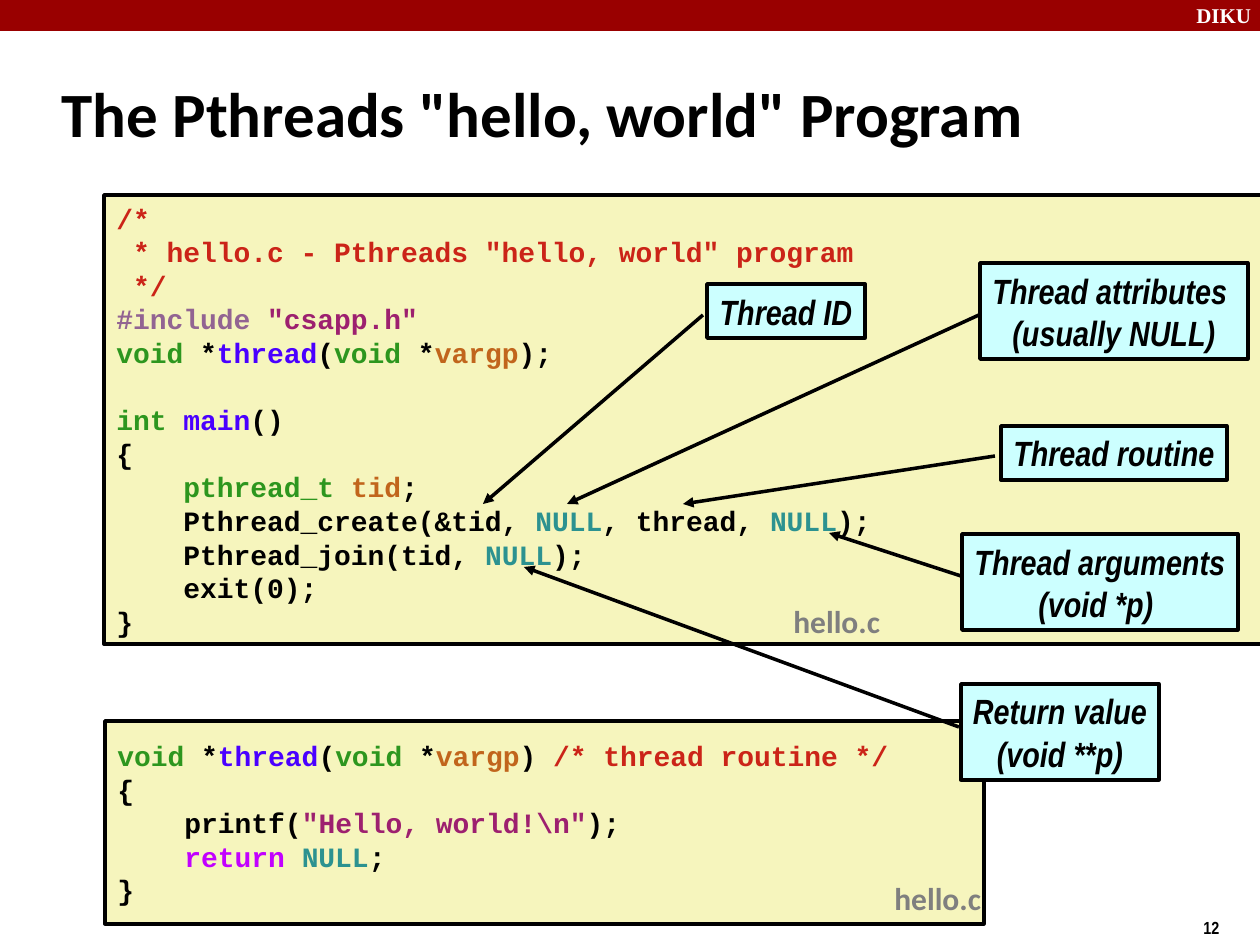
from lxml import etree
from pptx import Presentation
from pptx.dml.color import RGBColor
from pptx.enum.shapes import MSO_CONNECTOR, MSO_SHAPE
from pptx.enum.text import MSO_ANCHOR, PP_ALIGN
from pptx.oxml.ns import qn
from pptx.util import Emu, Pt

RECT = MSO_SHAPE.RECTANGLE
STRAIGHT = MSO_CONNECTOR.STRAIGHT
TOP, MIDDLE = MSO_ANCHOR.TOP, MSO_ANCHOR.MIDDLE
LEFT, CENTER = PP_ALIGN.LEFT, PP_ALIGN.CENTER

PX = 914400 // 126
THEME = {
    "colors": {
        "ink": "000000", "white": "FFFFFF", "band": "990000", "gray": "7F7F7F",
        "code_fill": "F6F5BD", "label_fill": "CCFFFF", "comment": "CB2418",
        "type": "2D961E", "function": "4A00FF", "variable": "C1651C",
        "string": "9D206F", "directive": "926492", "keyword": "C200FF",
        "constant": "2C9290",
    },
    "styles": {
        "code": ("Courier New", 16, False),
        "title": ("Calibri", 36, False),
        "file": ("Calibri", 18, False),
        "label": ("Arial Narrow", 20, True),
        "brand": ("Times New Roman", 12, False),
        "number": ("Arial Narrow", 10, False),
    },
    "line": 2,
}

PROTOTYPE = [("void", "type"), (" *", "ink"), ("thread", "function"), ("(", "ink"),
             ("void", "type"), (" *", "ink"), ("vargp", "variable")]
NULL = ("NULL", "constant")

MAIN_CODE = [
    [("/*", "comment")],
    [(' * hello.c - Pthreads "hello, world" program', "comment")],
    [(" */", "comment")],
    [("#include ", "directive"), ('"csapp.h"', "string")],
    PROTOTYPE + [(");", "ink")],
    [],
    [("int ", "type"), ("main", "function"), ("()", "ink")],
    [("{", "ink")],
    [("    ", "ink"), ("pthread_t ", "type"), ("tid", "variable"), (";", "ink")],
    [("    Pthread_create(&tid, ", "ink"), NULL, (", thread, ", "ink"), NULL, (");", "ink")],
    [("    Pthread_join(tid, ", "ink"), NULL, (");", "ink")],
    [("    exit(0);", "ink")],
    [("}", "ink")],
]
ROUTINE_CODE = [
    PROTOTYPE + [(") ", "ink"), ("/* thread routine */", "comment")],
    [("{", "ink")],
    [("    printf(", "ink"), ('"Hello, world!\\n"', "string"), (");", "ink")],
    [("    ", "ink"), ("return ", "keyword"), NULL, (";", "ink")],
    [("}", "ink")],
]
CODE_BOXES = [
    ((105, 721, 879, 203), ROUTINE_CODE),
    ((104, 195, 1372, 449), MAIN_CODE),
]
CAPTIONS = [
    ("DIKU", "brand", "white", (1184, -4, 84, 38), TOP, True),
    ("12", "number", "ink", (1191, 911, 94, 37), TOP, False),
    ('The Pthreads "hello, world" Program', "title", "ink", (49, 60, 1046, 105), MIDDLE, True),
    ("hello.c", "file", "gray", (882, 873, 112, 50), TOP, False),
    ("hello.c", "file", "gray", (781, 596, 112, 50), TOP, False),
]
CALLOUTS = [
    (["Thread attributes ", "(usually NULL)"], (980, 263, 268, 96), (979, 315), (567, 504)),
    (["Thread arguments", "(void *p) "], (962, 534, 276, 96), (961, 576), (829, 533)),
    (["Return value", "(void **p)"], (961, 684, 198, 96), (959, 727), (524, 567)),
    (["Thread ID"], (707, 284, 158, 54), (703, 315), (483, 504)),
    (["Thread routine"], (1001, 426, 226, 54), (995, 456), (683, 504)),
]


def color(name):
    return RGBColor.from_string(THEME["colors"][name])


def scaled(lengths):
    return [Emu(n * PX) for n in lengths]


def add_box(s, at, fill, outlined=True):
    sp = s.shapes.add_shape(RECT, *scaled(at))
    sp.shadow.inherit = False
    sp.fill.solid()
    sp.fill.fore_color.rgb = color(fill)
    if outlined:
        sp.line.color.rgb = color("ink")
        sp.line.width = Pt(THEME["line"])
    else:
        sp.line.fill.background()
    return sp


def write(sp, lines, style, anchor=MIDDLE, align=LEFT, wrap=False):
    font, size, italic = THEME["styles"][style]
    tf = sp.text_frame
    tf.word_wrap = wrap
    tf.vertical_anchor = anchor
    for i, line in enumerate(lines):
        p = tf.paragraphs[0] if i == 0 else tf.add_paragraph()
        p.alignment = align
        p.font.name, p.font.size = font, Pt(size)
        if not line:
            p.line_spacing = 1.0
            end = etree.SubElement(p._p, qn("a:endParaRPr"), sz=str(size * 100), b="1")
            etree.SubElement(end, qn("a:latin"), typeface=font)
        for text, ink in line:
            r = p.add_run()
            r.text = text
            r.font.name, r.font.size = font, Pt(size)
            r.font.bold, r.font.italic = True, italic
            r.font.color.rgb = color(ink)


def add_arrow(s, start, end):
    c = s.shapes.add_connector(STRAIGHT, *scaled(start + end))
    c.line.color.rgb = color("ink")
    c.line.width = Pt(THEME["line"])
    etree.SubElement(c.line._get_or_add_ln(), qn("a:tailEnd"), type="triangle")
    etree.SubElement(c._element.spPr, qn("a:effectLst"))


def main():
    prs = Presentation()
    prs.slide_width, prs.slide_height = scaled((1260, 945))
    s = prs.slides.add_slide(prs.slide_layouts[6])

    add_box(s, (0, 0, 1260, 31), "band", outlined=False)
    for at, code in CODE_BOXES:
        write(add_box(s, at, "code_fill"), code, "code")
    for text, style, ink, at, anchor, wrap in CAPTIONS:
        write(s.shapes.add_textbox(*scaled(at)), [[(text, ink)]], style, anchor, wrap=wrap)
    for lines, at, start, end in CALLOUTS:
        label = add_box(s, at, "label_fill")
        write(label, [[(line, "ink")] for line in lines], "label", align=CENTER)
        add_arrow(s, start, end)

    prs.save("out.pptx")


if __name__ == "__main__":
    main()
